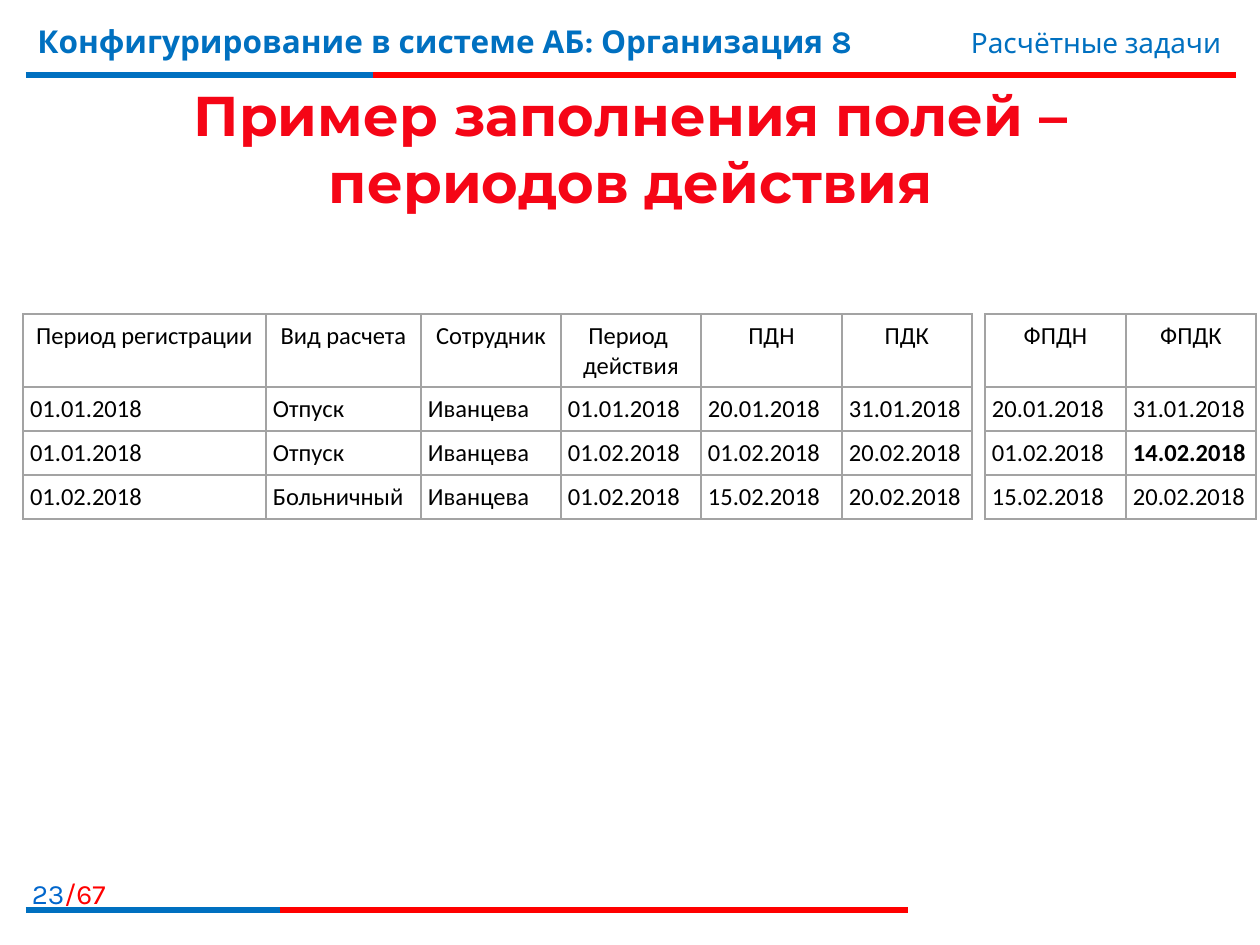
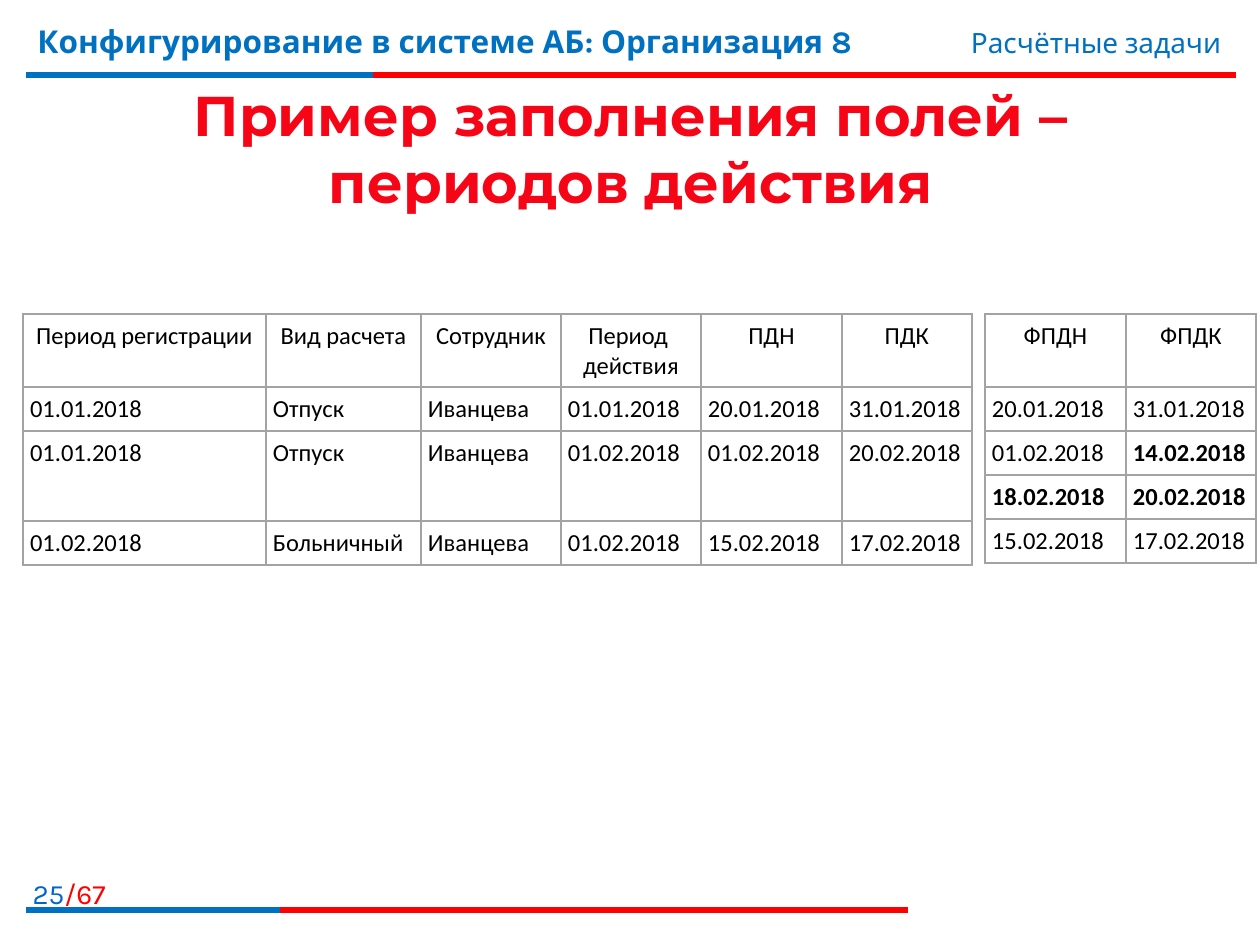
"""Build two slides with filled action-period tables for payroll calculations."""
from dataclasses import dataclass

from lxml.etree import SubElement
from pptx import Presentation
from pptx.dml.color import RGBColor
from pptx.enum.shapes import MSO_CONNECTOR
from pptx.enum.text import MSO_ANCHOR, PP_ALIGN
from pptx.oxml.ns import qn
from pptx.util import Emu, Pt


@dataclass(frozen=True)
class Theme:
    blue: str = "0070C0"
    number_blue: str = "0066CC"
    red: str = "FF0000"
    title_red: str = "F50516"
    black: str = "000000"
    border: str = "A3A3A3"
    header_font: str = "Karla"
    title_font: str = "Montserrat"
    table_font: str = "Calibri"
    title_size: int = 32
    course_size: int = 18
    label_size: int = 16
    table_size: int = 14
    rule_width: int = 3
    border_width: int = 1


PIXELS_PER_INCH = 126
SLIDE_SIZE = (1260, 945)
CELL_MARGIN = 7
HEADER_HEIGHT = 73
ROW_HEIGHT = 44
TABLE_TOP = 314
COURSE = "Конфигурирование в системе АБ: Организация 8"
TOPIC = "Расчётные задачи"
TITLE = "Пример заполнения полей – периодов действия"
SLIDE_TOTAL = 67
ENTRY_LEFT = 23
ENTRY_COLUMNS = (243, 155, 140, 140, 141, 130)
ENTRY_HEADER = ("Период регистрации", "Вид расчета", "Сотрудник",
                "Период \vдействия", "ПДН", "ПДК")
ACTUAL_LEFT = 985
ACTUAL_COLUMNS = (141, 130)
ACTUAL_HEADER = ("ФПДН", "ФПДК")


def px(length):
    return Emu(round(length * 914400 / PIXELS_PER_INCH))


class Deck:
    def __init__(self, theme):
        self.theme = theme
        self.presentation = Presentation()
        self.presentation.slide_width, self.presentation.slide_height = map(px, SLIDE_SIZE)
        self.slide = None

    def style(self, run, font, size, color, bold=False):
        run.font.name = font
        run.font.size = Pt(size)
        run.font.bold = bold
        run.font.color.rgb = RGBColor.from_string(color)

    def rule(self, y, left, right, color):
        connector = self.slide.shapes.add_connector(
            MSO_CONNECTOR.STRAIGHT, px(left), px(y), px(right), px(y))
        connector.line.color.rgb = RGBColor.from_string(color)
        connector.line.width = Pt(self.theme.rule_width)
        SubElement(connector._element.spPr, qn("a:effectLst"))

    def two_color_rule(self, y, left, middle, right):
        self.rule(y, left, right, self.theme.red)
        self.rule(y, left, middle, self.theme.blue)

    def text(self, box, parts, font, size, align=PP_ALIGN.LEFT,
             anchor=MSO_ANCHOR.TOP, bold=False):
        text_frame = self.slide.shapes.add_textbox(*map(px, box)).text_frame
        text_frame.word_wrap = True
        text_frame.vertical_anchor = anchor
        paragraph = text_frame.paragraphs[0]
        paragraph.alignment = align
        for content, color in parts:
            run = paragraph.add_run()
            run.text = content
            self.style(run, font, size, color, bold)

    def borders(self, cell):
        properties = cell._tc.get_or_add_tcPr()
        for side in ("lnL", "lnR", "lnT", "lnB"):
            line = SubElement(properties, qn(f"a:{side}"), w=str(Pt(self.theme.border_width)))
            fill = SubElement(line, qn("a:solidFill"))
            SubElement(fill, qn("a:srgbClr"), val=self.theme.border)

    def cell(self, cell, content, align, bold):
        cell.margin_left = cell.margin_right = px(CELL_MARGIN)
        cell.margin_top = cell.margin_bottom = px(CELL_MARGIN)
        self.borders(cell)
        cell.fill.background()
        cell.text_frame.text = content
        paragraph = cell.text_frame.paragraphs[0]
        paragraph.alignment = align
        for run in paragraph.runs:
            self.style(run, self.theme.table_font, self.theme.table_size,
                       self.theme.black, bold)

    def table(self, left, widths, header, records, tall_rows=None, bold_cells=()):
        rows = [header, *records]
        heights = [HEADER_HEIGHT] + [ROW_HEIGHT] * len(records)
        for index, height in (tall_rows or {}).items():
            heights[index] = height
        table = self.slide.shapes.add_table(
            len(rows), len(widths), px(left), px(TABLE_TOP),
            px(sum(widths)), px(sum(heights))).table
        table.first_row = table.horz_banding = False
        for column, width in zip(table.columns, widths):
            column.width = px(width)
        for row, height in zip(table.rows, heights):
            row.height = px(height)
        for row_index, values in enumerate(rows):
            align = PP_ALIGN.LEFT if row_index else PP_ALIGN.CENTER
            for column_index, value in enumerate(values):
                self.cell(table.cell(row_index, column_index), value, align,
                          (row_index, column_index) in bold_cells)

    def add_slide(self, number):
        theme = self.theme
        self.slide = self.presentation.slides.add_slide(self.presentation.slide_layouts[6])
        self.two_color_rule(75, 26, 373, 1236)
        self.text((0, 870, 118, 40),
                  [(str(number), theme.number_blue), (f"/{SLIDE_TOTAL}", theme.red)],
                  theme.header_font, theme.label_size, PP_ALIGN.RIGHT)
        self.two_color_rule(910, 26, 280, 908)
        self.text((25, 16, 932, 78), [(COURSE, theme.blue)],
                  theme.header_font, theme.course_size, bold=True)
        self.text((748, 19, 486, 47), [(TOPIC, theme.blue)],
                  theme.header_font, theme.label_size, PP_ALIGN.RIGHT)
        self.text((26, 80, 1210, 136), [(TITLE, theme.title_red)], theme.title_font,
                  theme.title_size, PP_ALIGN.CENTER, MSO_ANCHOR.MIDDLE, True)


def entry_records(sick_leave_end):
    return [
        ("01.01.2018", "Отпуск", "Иванцева", "01.01.2018", "20.01.2018", "31.01.2018"),
        ("01.01.2018", "Отпуск", "Иванцева", "01.02.2018", "01.02.2018", "20.02.2018"),
        ("01.02.2018", "Больничный", "Иванцева", "01.02.2018", "15.02.2018", sick_leave_end),
    ]


def main():
    deck = Deck(Theme())
    vacation = [("20.01.2018", "31.01.2018"), ("01.02.2018", "14.02.2018")]
    rest_of_vacation = ("18.02.2018", "20.02.2018")
    examples = [
        (23, "20.02.2018", [], {}, {(2, 1)}),
        (25, "17.02.2018", [rest_of_vacation], {2: 90}, {(2, 1), (3, 0), (3, 1)}),
    ]
    for number, sick_leave_end, extra, tall_rows, bold_cells in examples:
        deck.add_slide(number)
        deck.table(ENTRY_LEFT, ENTRY_COLUMNS, ENTRY_HEADER,
                   entry_records(sick_leave_end), tall_rows)
        deck.table(ACTUAL_LEFT, ACTUAL_COLUMNS, ACTUAL_HEADER,
                   [*vacation, *extra, ("15.02.2018", sick_leave_end)],
                   bold_cells=bold_cells)
    deck.presentation.save("out.pptx")


if __name__ == "__main__":
    main()
